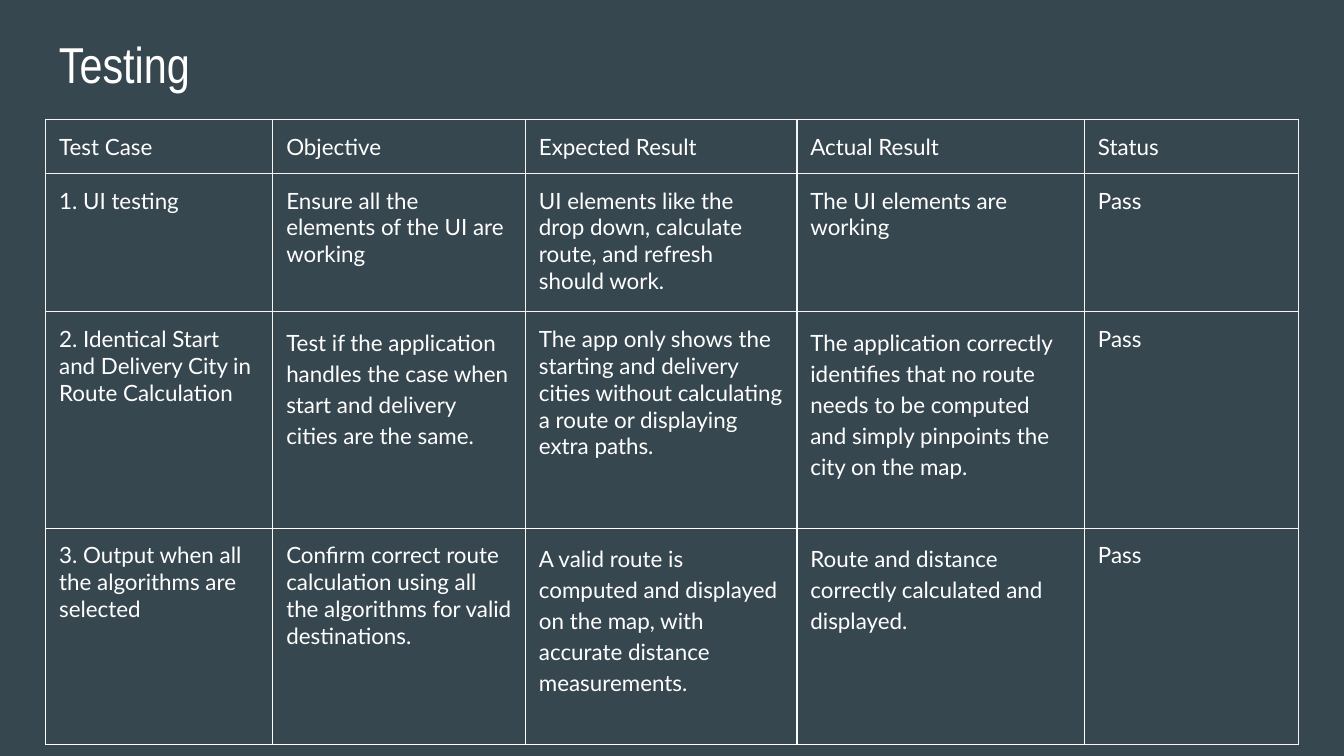
from lxml import etree
from pptx import Presentation
from pptx.dml.color import RGBColor
from pptx.enum import text
from pptx.oxml import ns
from pptx.util import Inches, Pt

WHITE = "FFFFFF"
PALE = "F5F5F5"
BACKGROUND = "37474F"
INSET = Inches(0.1)

COLUMN_WIDTHS = [1.69, 1.88, 2.02, 2.14, 1.59]
ROW_HEIGHTS = [0.4, 1.03, 1.61, 1.61]
TEST_CASES = [
    ["Test Case", "Objective", "Expected Result", "Actual Result", "Status"],
    ["1. UI testing",
     "Ensure all the elements of the UI are working",
     "UI elements like the drop down, calculate route, and refresh should work.",
     "The UI elements are working",
     "Pass"],
    ["2. Identical Start and Delivery City in Route Calculation",
     "Test if the application handles the case when start and delivery cities are the same.",
     "The app only shows the starting and delivery cities without calculating "
     "a route or displaying extra paths.",
     "The application correctly identifies that no route needs to be computed "
     "and simply pinpoints the city on the map.",
     "Pass"],
    ["3. Output when all the algorithms are selected",
     "Confirm correct route calculation using all the algorithms for valid destinations.",
     "A valid route is computed and displayed on the map, with accurate distance measurements.",
     "Route and distance correctly calculated and displayed.",
     "Pass"],
]
LOOSE_CELLS = {(2, 1), (2, 3), (3, 2), (3, 3)}


def color(hex_value):
    return RGBColor.from_string(hex_value)


def set_text(text_frame, content, font_name, size):
    text_frame.text = content
    paragraph = text_frame.paragraphs[0]
    paragraph.alignment = text.PP_ALIGN.LEFT
    font = paragraph.runs[0].font
    font.name = font_name
    font.size = Pt(size)
    font.bold = False
    font.color.rgb = color(WHITE)
    return paragraph


def set_insets(box):
    box.margin_left = box.margin_right = INSET
    box.margin_top = box.margin_bottom = INSET


def set_borders(cell, colors):
    """Draw the left, right, top and bottom borders, in that order."""
    properties = cell._tc.get_or_add_tcPr()
    for index, (side, hex_value) in enumerate(zip("LRTB", colors)):
        line = etree.Element(ns.qn(f"a:ln{side}"), w=str(Pt(0.75)))
        fill = etree.SubElement(line, ns.qn("a:solidFill"))
        etree.SubElement(fill, ns.qn("a:srgbClr"), val=hex_value)
        properties.insert(index, line)


def border_colors(row, column):
    is_status = column == len(COLUMN_WIDTHS) - 1
    if row == 3:
        return [WHITE, PALE, PALE, PALE] if is_status else [WHITE] * 4
    bottom = WHITE if row == 2 and not is_status else PALE
    return [PALE, PALE, PALE, bottom]


def add_title(slide, left, top, width, height):
    box = slide.shapes.add_textbox(Inches(left), Inches(top), Inches(width), Inches(height))
    text_frame = box.text_frame
    text_frame.word_wrap = True
    text_frame.vertical_anchor = text.MSO_ANCHOR.TOP
    set_insets(text_frame)
    set_text(text_frame, "Testing", "Arial Narrow", 27)


def add_test_table(slide, left, top):
    table = slide.shapes.add_table(
        len(ROW_HEIGHTS), len(COLUMN_WIDTHS), Inches(left), Inches(top),
        Inches(sum(COLUMN_WIDTHS)), Inches(sum(ROW_HEIGHTS))).table
    table.first_row = table.horz_banding = False
    for column, width in zip(table.columns, COLUMN_WIDTHS):
        column.width = Inches(width)
    for row, height in zip(table.rows, ROW_HEIGHTS):
        row.height = Inches(height)
    for row, contents in enumerate(TEST_CASES):
        for column, content in enumerate(contents):
            cell = table.cell(row, column)
            cell.fill.background()
            cell.vertical_anchor = text.MSO_ANCHOR.TOP
            set_insets(cell)
            paragraph = set_text(cell.text_frame, content, "Lato", 12)
            if (row, column) in LOOSE_CELLS:
                paragraph.line_spacing = 1.15
            set_borders(cell, border_colors(row, column))


def main():
    presentation = Presentation()
    presentation.slide_width = Inches(10)
    presentation.slide_height = presentation.slide_width * 9 // 16
    slide = presentation.slides.add_slide(presentation.slide_layouts[6])
    slide.background.fill.solid()
    slide.background.fill.fore_color.rgb = color(BACKGROUND)
    add_title(slide, 0.34, 0.15, 9.32, 0.65)
    add_test_table(slide, 0.34, 0.89)
    presentation.save("out.pptx")


if __name__ == "__main__":
    main()
